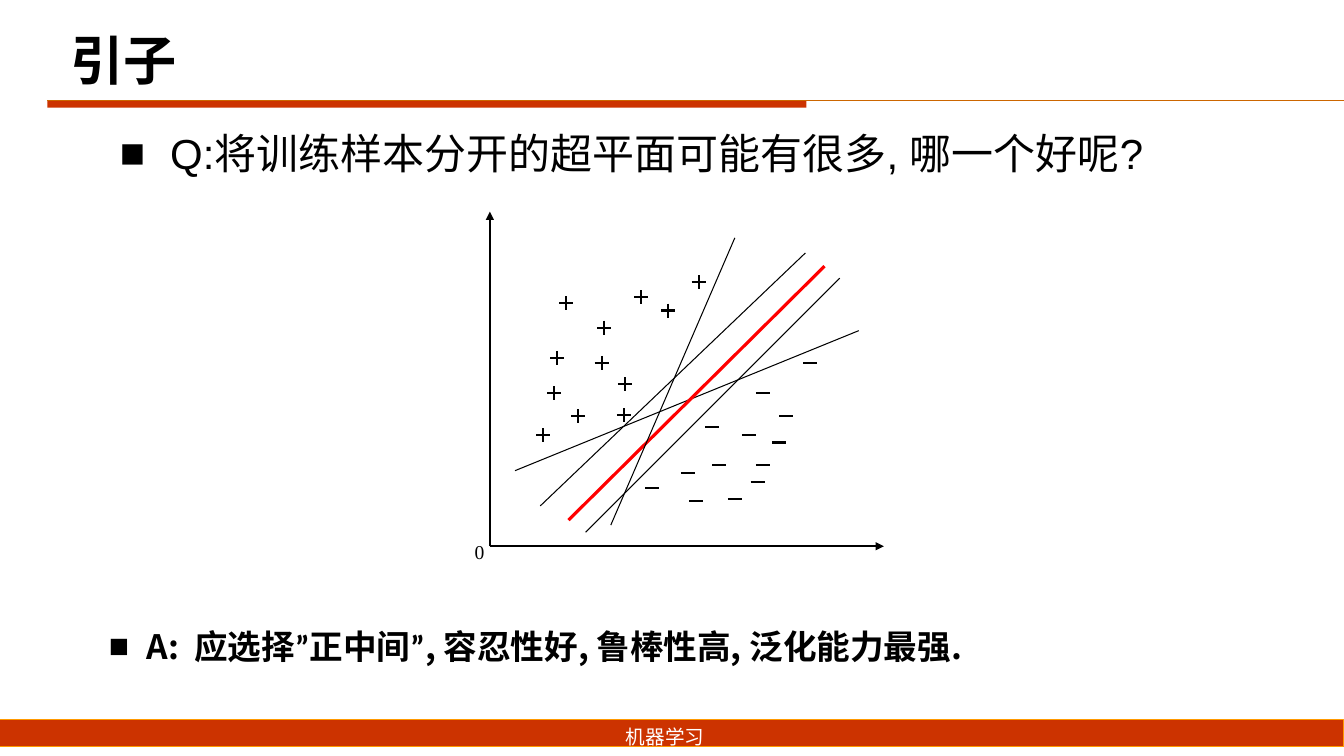
"""Build the slide that asks which separating hyperplane is best."""
import pptx
import pptx.dml.color
import pptx.enum.shapes
import pptx.enum.text
import pptx.oxml.ns
import pptx.util
from lxml import etree

Pt = pptx.util.Pt
qn = pptx.oxml.ns.qn
ALIGN = pptx.enum.text.PP_ALIGN
ANCHOR = pptx.enum.text.MSO_ANCHOR
STRAIGHT = pptx.enum.shapes.MSO_CONNECTOR.STRAIGHT
RECTANGLE = pptx.enum.shapes.MSO_SHAPE.RECTANGLE
COLORS = {
    name: pptx.dml.color.RGBColor.from_string(code)
    for name, code in {
        "black": "000000", "white": "FFFFFF", "red": "FF0000",
        "brick": "CC3300", "rule": "CC6600", "edge": "FF9900",
    }.items()
}


def add_line(shapes, start, end, width, color="black", arrow=False):
    line = shapes.add_connector(STRAIGHT, *[Pt(value) for value in (*start, *end)])
    line.line.width = Pt(width)
    line.line.color.rgb = COLORS[color]
    if arrow:
        etree.SubElement(line.line._get_or_add_ln(), qn("a:tailEnd"), type="triangle")
    etree.SubElement(line._element.spPr, qn("a:effectLst"))


def add_text(place, pieces, font, size, color="black", bold=False, indent=0,
             wrap=True, frame_format=None, para_format=None):
    box = page.shapes.add_textbox(*[Pt(value) for value in place])
    frame = box.text_frame
    for name, value in {"word_wrap": wrap, **(frame_format or {})}.items():
        setattr(frame, name, value)
    para = frame.paragraphs[0]
    for name, value in (para_format or {}).items():
        setattr(para, name, value)
    if indent:
        properties = para._p.get_or_add_pPr()
        properties.set("marL", str(Pt(indent)))
        properties.set("indent", str(-Pt(indent)))
        etree.SubElement(properties, qn("a:buFont"), typeface="Arial")
        etree.SubElement(properties, qn("a:buChar"), char="■")
    for piece, tracking in pieces:
        span = para.add_run()
        span.text = piece
        for name, value in {"name": font, "size": Pt(size), "bold": bold}.items():
            setattr(span.font, name, value)
        span.font.color.rgb = COLORS[color]
        properties = span._r.get_or_add_rPr()
        properties.set("lang", "zh-CN")
        if tracking:
            properties.set("spc", str(tracking))
        etree.SubElement(properties, qn("a:ea"), typeface="Calibri")


deck = pptx.Presentation()
deck.slide_width, deck.slide_height = Pt(960), Pt(540)
page = deck.slides.add_slide(deck.slide_layouts[6])

for place, edge in [((-1.4, 514.1, 961.2, 19.4), "edge"), ((33.8, 72, 542.2, 5), None)]:
    band = page.shapes.add_shape(RECTANGLE, *[Pt(value) for value in place])
    band.shadow.inherit = False
    band.fill.solid()
    band.fill.fore_color.rgb = COLORS["brick"]
    if edge:
        band.line.color.rgb = COLORS[edge]
        band.line.width = Pt(0.75)
    else:
        band.line.fill.background()
add_line(page.shapes, (33.8, 72), (960, 72), 0.75, "rule")

add_text((43.2, 11.5, 620.6, 61.2), [("引子", 0)], "Noto Sans CJK SC", 38, bold=True,
         frame_format={"vertical_anchor": ANCHOR.MIDDLE})
add_text((227.5, 514.1, 495.4, 24.5), [("机器学习", 0)], "Calibri", 14, "white",
         para_format={"alignment": ALIGN.CENTER})
add_text((78.5, 87.8, 730, 35.3), [("Q:将训练样本分开的超平面可能有很多, 哪一个好呢?", 0)],
         "Arial", 30, indent=36)
add_text((70.6, 445.7, 674, 41),
         [("A:", 0), (" ", 540), ("应选择”正中间”, 容忍性好, 鲁棒性高, 泛化能力最强.", 0)],
         "Noto Sans CJK SC", 24, bold=True, indent=27,
         para_format={"line_spacing": Pt(26.4)})

origin = (349.9, 390.2)
for tip in [(349.9, 151.2), (631.4, 390.2)]:
    add_line(page.shapes, origin, tip, 1.5, arrow=True)
add_text((331.9, 382.3, 21.6, 24.5), [("0", 0)], "Times New Roman", 14, wrap=False)

hyperplanes = [
    ((613.4, 236.2), (367.9, 336.2), 0.75, "black"),
    ((406.1, 371.5), (589, 190.1), 2.25, "red"),
    ((524.9, 169.9), (436.3, 375.1), 0.75, "black"),
    ((599.8, 198.7), (418.3, 380.2), 0.75, "black"),
    ((575.3, 180.7), (385.9, 361.4), 0.75, "black"),
]
for hyperplane in hyperplanes:
    add_line(page.shapes, *hyperplane)

positives = [
    (458, 212.4), (446.4, 274.3), (429.8, 259.2), (396, 280.8),
    (413.1, 297.4), (445.7, 296.6), (404.6, 216.7), (499, 201.6),
    (477.4, 221.8), (388.1, 311), (431.5, 234), (398, 255.6),
]
negatives = [
    (556.6, 316.1), (508.7, 305.3), (497.2, 357.8), (465.8, 348.5),
    (541.1, 344.2), (545, 331.9), (491.4, 337.7), (561.6, 297.4),
    (513.7, 331.9), (524.9, 356.4), (535, 311), (545, 280.8), (578.9, 259.2),
]
reach = 5
for x, y in positives:
    plus = page.shapes.add_group_shape().shapes
    add_line(plus, (x - reach, y), (x + reach, y), 1.5)
    add_line(plus, (x, y - reach), (x, y + reach), 1.5)
for x, y in negatives:
    add_line(page.shapes, (x - reach, y), (x + reach, y), 1.5)

deck.save("out.pptx")
